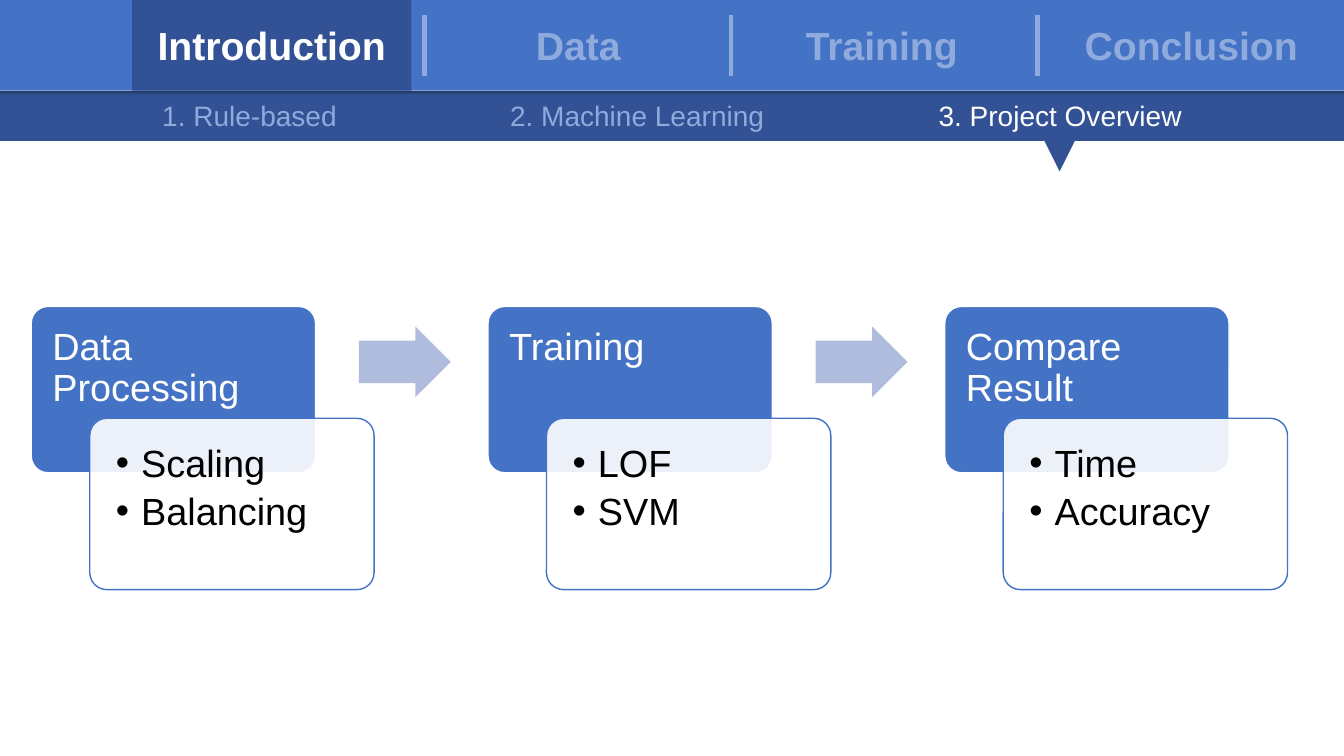
from lxml.etree import SubElement as Sub
from pptx import Presentation
from pptx.dml.color import RGBColor as Rgb
from pptx.enum.shapes import MSO_CONNECTOR as Line, MSO_SHAPE as Kind
from pptx.enum.text import MSO_ANCHOR as Anchor, PP_ALIGN as Align
from pptx.oxml.ns import qn
from pptx.util import Inches, Pt

HUES = {
    "blue": "4472C4",
    "navy": "335295",
    "deep": "203864",
    "pale": "8FAADC",
    "arrow": "B0BCDE",
    "white": "FFFFFF",
    "black": "000000",
}
TABS = [("Introduction", 1.31), ("Data", 4.35), ("Training", 7.36), ("Conclusion", 10.43)]
PARTS = [
    ("1. Rule-based", 1.5, 1.95),
    ("2. Machine Learning", 4.95, 2.74),
    ("3. Project Overview", 9.2, 2.63),
]
STEPS = [
    ("Data Processing", ["Scaling", "Balancing"]),
    ("Training", ["LOF", "SVM"]),
    ("Compare Result", ["Time", "Accuracy"]),
]


def hue(name):
    return Rgb.from_string(HUES[name])


def write(frame, text, size=27, color="white", bold=False, align=Align.LEFT,
          anchor=Anchor.TOP, wrap=True, pads=None, space=None, after=0, bullet=False):
    frame.word_wrap = wrap
    frame.vertical_anchor = anchor
    if pads:
        (frame.margin_left, frame.margin_top,
         frame.margin_right, frame.margin_bottom) = map(Inches, pads)
    for i, row in enumerate(text.split("\n")):
        para = frame.add_paragraph() if i else frame.paragraphs[0]
        para.alignment = align
        para.line_spacing = space
        para.space_after = Pt(after)
        run = para.add_run()
        run.text = row
        font = run.font
        font.name, font.size, font.bold = "Arial", Pt(size), bold
        font.color.rgb = hue(color)
        if bullet:
            props = para._p.get_or_add_pPr()
            props.set("marL", str(Inches(0.25)))
            props.set("indent", str(Inches(-0.25)))
            Sub(props, qn("a:buFont"), typeface="Arial")
            Sub(props, qn("a:buChar"), char="•")


class Deck:
    def __init__(self):
        self.show = Presentation()
        self.show.slide_width = Inches(13.33)
        self.show.slide_height = Inches(7.5)
        self.slide = self.show.slides.add_slide(self.show.slide_layouts[6])

    def shape(self, kind, *box, fill, line=None, bends=(), alpha=None):
        item = self.slide.shapes.add_shape(kind, *map(Inches, box))
        item.shadow.inherit = False
        for i, bend in enumerate(bends):
            item.adjustments[i] = bend
        item.fill.solid()
        item.fill.fore_color.rgb = hue(fill)
        if alpha:
            tint = item._element.spPr.find(qn("a:solidFill"))[0]
            Sub(tint, qn("a:alpha"), val=str(alpha * 1000))
        if line:
            item.line.color.rgb = hue(line)
            item.line.width = Pt(1)
        else:
            item.line.fill.background()
        return item

    def fade(self, item, *stops):
        item.fill.gradient()
        item.fill.gradient_angle = 90
        for stop, (place, name) in zip(item.fill.gradient_stops, stops):
            stop.position = place
            stop.color.rgb = hue(name)

    def rule(self, x, top, end):
        item = self.slide.shapes.add_connector(
            Line.STRAIGHT, *map(Inches, (x, top, x, end)))
        item.line.color.rgb = hue("pale")
        item.line.width = Pt(3)
        Sub(item._element.spPr, qn("a:effectLst"))

    def text(self, text, *box, **style):
        item = self.slide.shapes.add_textbox(*map(Inches, box))
        write(item.text_frame, text, **style)

    def header(self):
        self.shape(Kind.RECTANGLE, 0, 0, 13.33, 0.9, fill="blue")
        band = self.shape(Kind.RECTANGLE, 0, 0.9, 13.33, 0.5, fill="navy")
        self.fade(band, (0.9, "navy"), (1, "deep"))
        for i in range(3):
            self.rule(4.21 + 3.04 * i, 0.15, 0.75)
        self.shape(Kind.RECTANGLE, TABS[0][1], 0, 2.77, 0.9, fill="navy")
        for name, x in TABS:
            self.text(name, x, 0, 2.77, 0.9, size=28, bold=True, wrap=False,
                      color="white" if name == "Introduction" else "pale",
                      align=Align.CENTER, anchor=Anchor.MIDDLE)
        for name, x, wide in PARTS:
            self.text(name, x, 0.93, wide, 0.44, size=20, wrap=False,
                      color="white" if name == "3. Project Overview" else "pale",
                      align=Align.CENTER)
        mark = self.shape(Kind.ISOSCELES_TRIANGLE, 10.36, 1.4, 0.3, 0.3, fill="navy")
        mark.rotation = 180

    def step(self, x, title, points):
        self.shape(Kind.ROUNDED_RECTANGLE, x, 3.04, 2.82, 1.65,
                   fill="blue", line="white", bends=[0.1])
        self.text(title, x, 3.04, 2.82, 1.1,
                  pads=(0.21, 0.21, 0.21, 0.11), space=0.9)
        self.shape(Kind.ROUNDED_RECTANGLE, x + 0.58, 4.15, 2.82, 1.7,
                   fill="white", line="blue", bends=[0.1], alpha=90)
        self.text("\n".join(points), x + 0.63, 4.2, 2.72, 1.6, color="black",
                  pads=[0.21] * 4, space=0.9, after=5, bullet=True)

    def arrow(self, x):
        self.shape(Kind.RIGHT_ARROW, x, 3.24, 0.91, 0.7, fill="arrow", bends=[0.6, 0.5])


def main():
    deck = Deck()
    deck.header()
    for i, (title, points) in enumerate(STEPS):
        x = 0.31 + 4.53 * i
        deck.step(x, title, points)
        if i < len(STEPS) - 1:
            deck.arrow(x + 3.25)
    deck.show.save("out.pptx")


if __name__ == "__main__":
    main()
